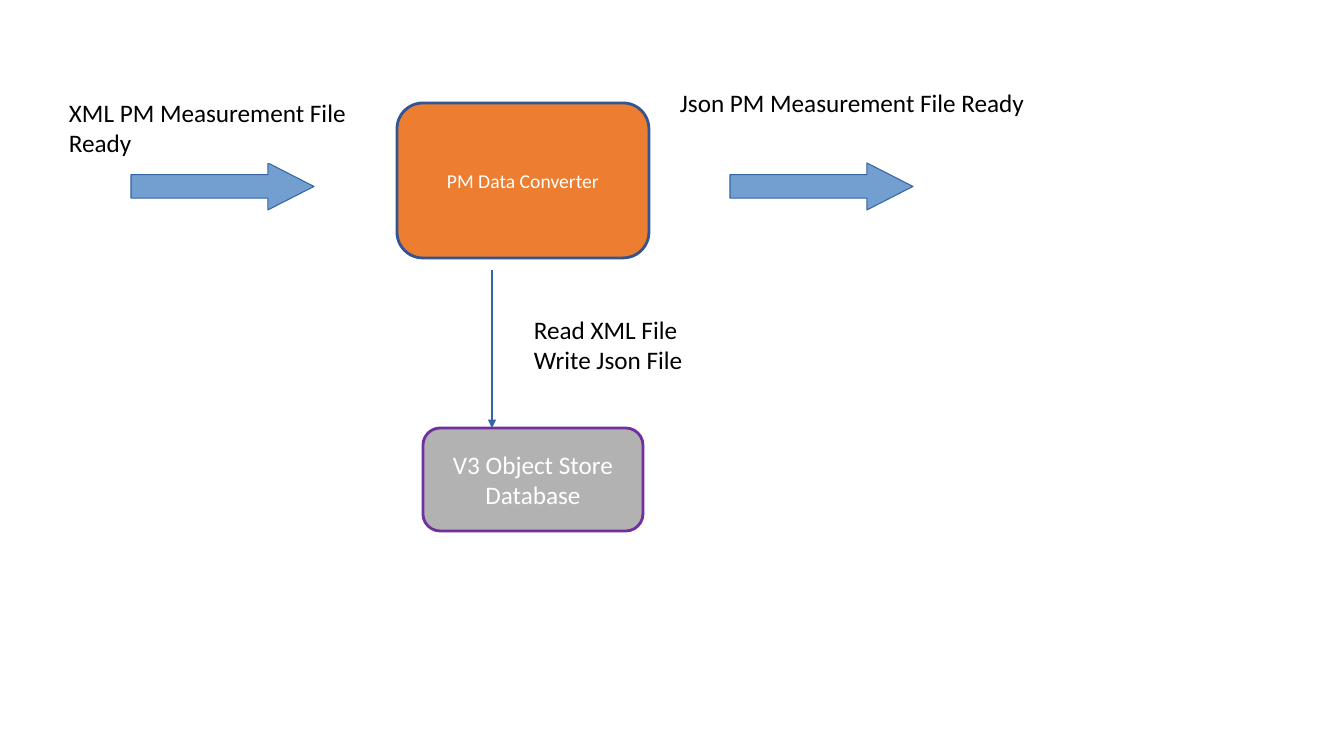
from lxml.etree import SubElement
from pptx import Presentation
from pptx.dml.color import RGBColor
from pptx.enum.shapes import MSO_CONNECTOR as CONNECTOR, MSO_SHAPE as SHAPE
from pptx.enum.text import MSO_ANCHOR as ANCHOR, PP_ALIGN as ALIGN
from pptx.oxml.ns import qn
from pptx.util import Emu, Pt

PIXEL = 914400 / 100.8
COLORS = {
    "converter": "ED7D31", "converter_edge": "325491",
    "store": "B2B2B2", "store_edge": "7030A0",
    "flow": "729FCF", "flow_edge": "3465A4",
    "paper": "FFFFFF", "ink": "000000",
}


def px(*lengths):
    """Turn pixel lengths into EMU."""
    return [Emu(round(length * PIXEL)) for length in lengths]


def color(key):
    """Look up a colour by its role."""
    return RGBColor.from_string(COLORS[key])


def write(frame, lines, size, ink, align):
    """Write one paragraph per line in a single style."""
    frame.word_wrap = True
    frame.text = "\n".join(lines)
    for line in frame.paragraphs:
        line.alignment = align
        line.font.name = "Calibri"
        line.font.size = Pt(size)
        line.font.color.rgb = color(ink)


def add_outlined(slide, kind, box, role, width):
    """Add a filled shape whose edge colour belongs to its role."""
    shape = slide.shapes.add_shape(kind, *px(*box))
    shape.shadow.inherit = False
    shape.fill.solid()
    shape.fill.fore_color.rgb = color(role)
    shape.line.color.rgb = color(role + "_edge")
    shape.line.width = Pt(width)
    return shape


def add_component(slide, box, role, lines, size):
    """Add a rounded system component with a centred name."""
    component = add_outlined(slide, SHAPE.ROUNDED_RECTANGLE, box, role, 2)
    component.text_frame.vertical_anchor = ANCHOR.MIDDLE
    write(component.text_frame, lines, size, "paper", ALIGN.CENTER)


def add_label(slide, box, lines):
    """Add a left-aligned caption on white."""
    label = slide.shapes.add_textbox(*px(*box))
    label.fill.solid()
    label.fill.fore_color.rgb = color("paper")
    write(label.text_frame, lines, 18, "ink", ALIGN.LEFT)


def add_event(slide, box, label_offset, label_width, text):
    """Add a block arrow in the box and its caption offset from the corner."""
    left, top, width, height = box
    arrow = add_outlined(slide, SHAPE.RIGHT_ARROW, box, "flow", 0.75)
    arrow.adjustments[0] = 0.5
    arrow.adjustments[1] = 0.98
    dx, dy = label_offset
    add_label(slide, (left + dx, top + dy, label_width, 71), [text])


def add_access(slide, box, lines):
    """Add a downward arrow at the left of the box and its caption on the right."""
    left, top, width, height = box
    access = slide.shapes.add_connector(
        CONNECTOR.STRAIGHT, *px(left, top, left, top + height))
    access.line.color.rgb = color("flow_edge")
    access.line.width = Pt(0)
    SubElement(access.line._get_or_add_ln(), qn("a:tailEnd"), type="triangle")
    SubElement(access._element.spPr, qn("a:effectLst"))
    add_label(slide, (left + 32, top + 39, width - 32, 71), lines)


def build_converter_slide(prs, box):
    """Build the PM data conversion flow within the box."""
    slide = prs.slides.add_slide(prs.slide_layouts[6])
    left, top, width, height = box
    add_event(slide, (left + 72, top + 81, 183, 47), (-72, -71), 313,
              "XML PM Measurement File Ready")
    add_component(slide, (left + 338, top + 21, 252, 155), "converter",
                  ["PM Data Converter"], 14)
    add_event(slide, (left + 671, top + 81, 183, 47), (-60, -81), 408,
              "Json PM Measurement File Ready")
    add_access(slide, (left + 433, top + 188, 278, 158),
               ["Read XML File", "Write Json File"])
    add_component(slide, (left + 364, top + 346, 220, 103), "store",
                  ["V3 Object Store", "Database"], 18)


prs = Presentation()
prs.slide_width, prs.slide_height = px(1344, 756)
build_converter_slide(prs, (59, 82, 1019, 449))
prs.save("out.pptx")
